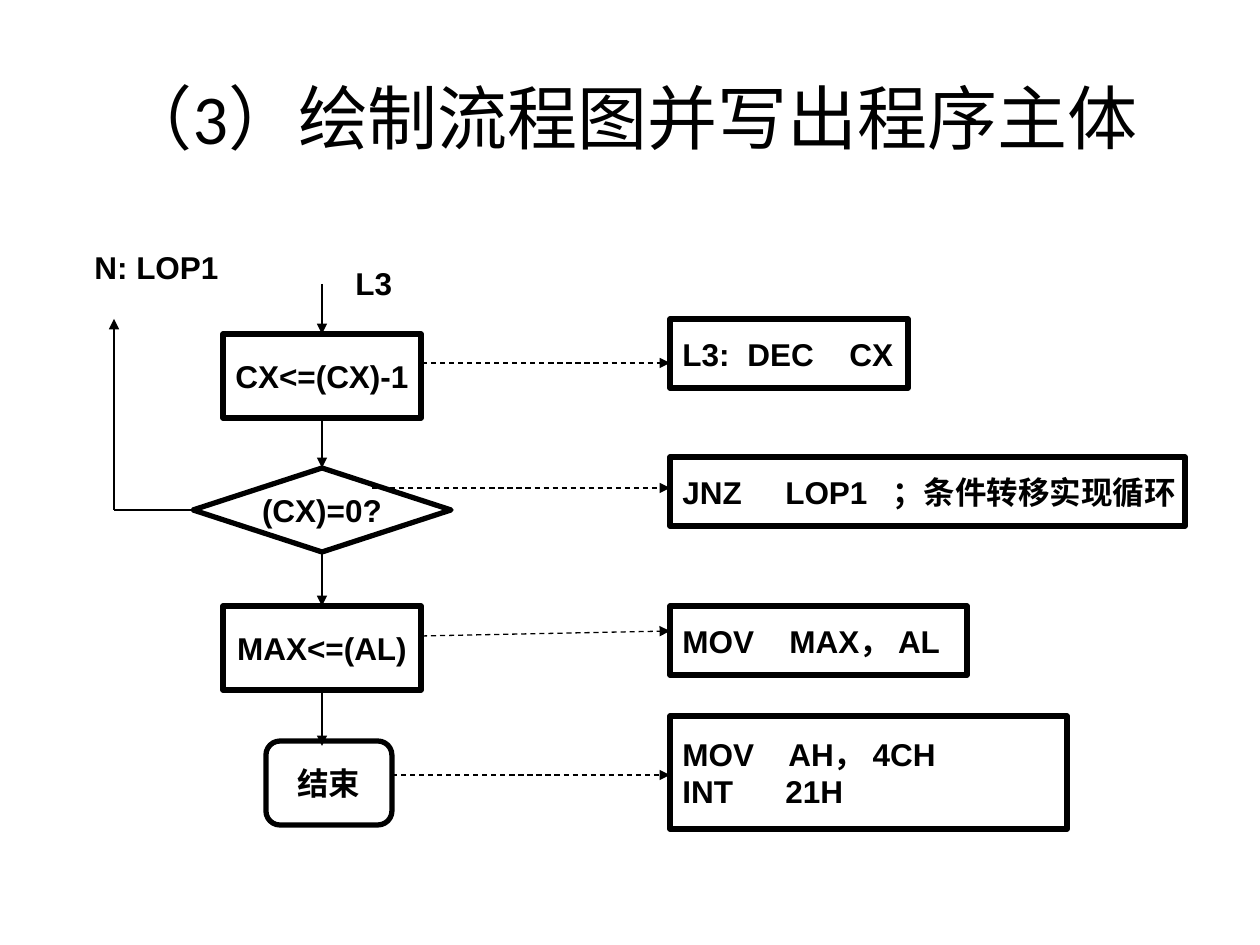
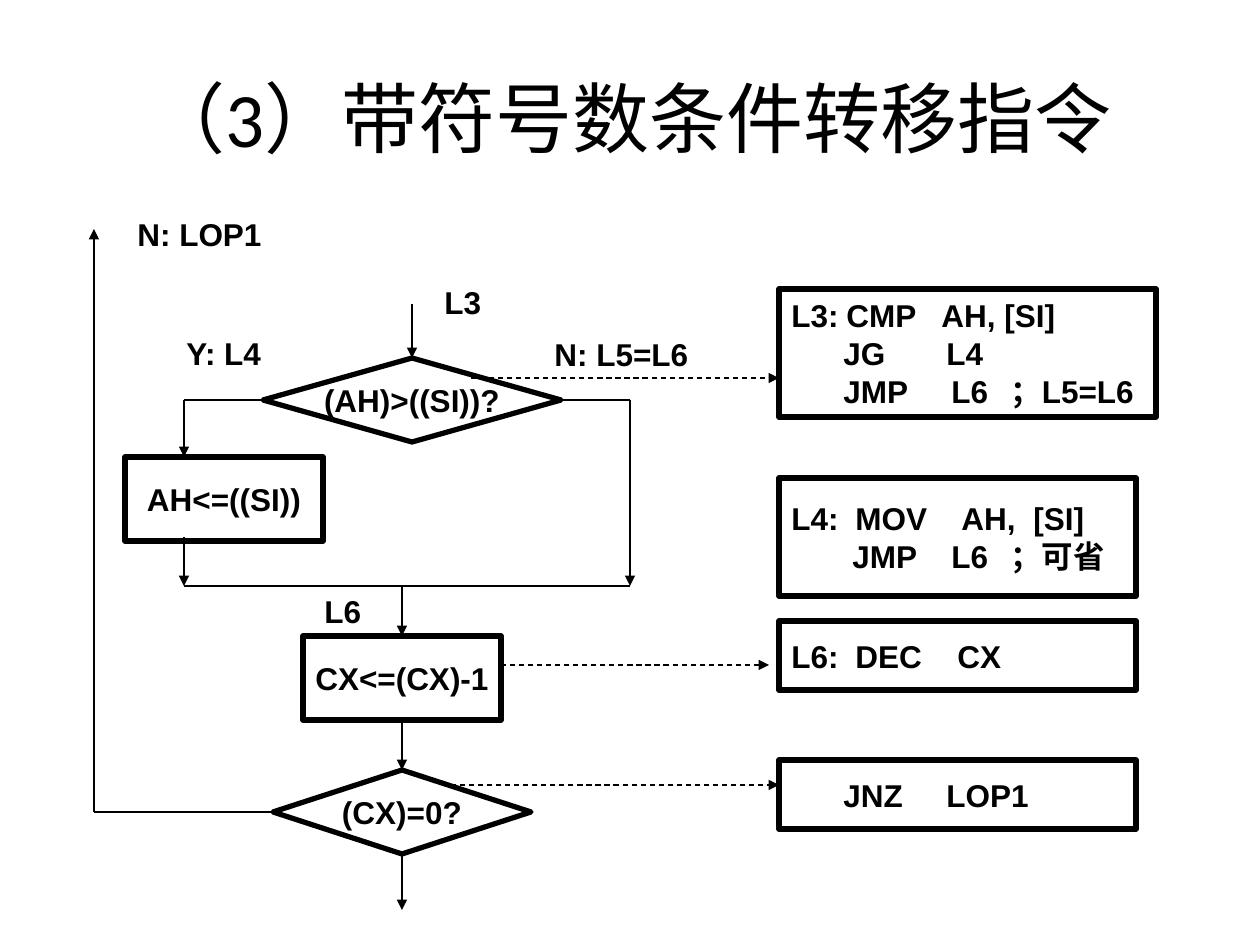
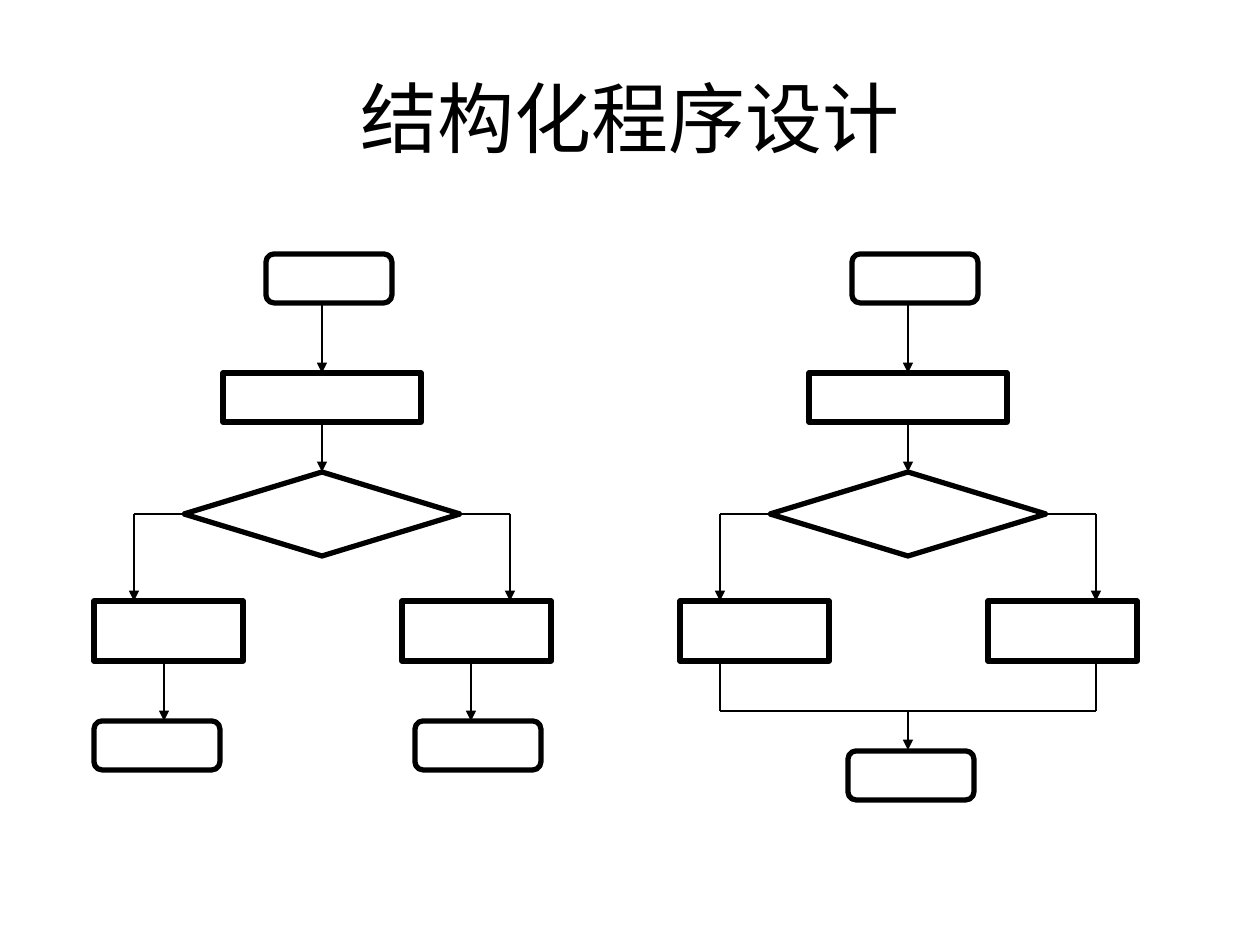
from dataclasses import dataclass

from pptx import Presentation
from pptx.dml.color import RGBColor
from pptx.enum.dml import MSO_LINE
from pptx.enum.shapes import MSO_CONNECTOR, MSO_SHAPE
from pptx.enum.text import MSO_ANCHOR, MSO_AUTO_SIZE, PP_ALIGN
from pptx.oxml.ns import qn
from pptx.util import Pt
from lxml.etree import SubElement

PX = 914400 / 126
STEP = MSO_SHAPE.FLOWCHART_PROCESS
DECISION = MSO_SHAPE.FLOWCHART_DECISION
TERMINAL = MSO_SHAPE.FLOWCHART_ALTERNATE_PROCESS
TOP, LEFT, BOTTOM, RIGHT = range(4)
# Share of a shape's width and height at which each side's middle lies
SIDE_MIDDLES = {TOP: (0.5, 0), LEFT: (0, 0.5), BOTTOM: (0.5, 1), RIGHT: (1, 0.5)}


@dataclass(frozen=True)
class Theme:
    ink: RGBColor = RGBColor(0, 0, 0)
    paper: RGBColor = RGBColor(255, 255, 255)
    title_font: str = "Calibri"
    body_font: str = "Arial"
    title_size: int = 44
    long_title_size: int = 40
    body_size: int = 18
    outline: float = 3
    thin: float = 0.75


def emu(px):
    return round(px * PX)


class FlowDeck:
    """Holds the theme and the slide or group being drawn on."""

    def __init__(self, theme):
        self.theme = theme
        self.prs = Presentation()
        self.prs.slide_width, self.prs.slide_height = emu(1260), emu(945)
        self.slide = self.shapes = None

    def new_slide(self, heading, size):
        self.slide = self.prs.slides.add_slide(self.prs.slide_layouts[5])
        self.shapes = self.slide.shapes
        background = self.slide.background.fill
        background.solid()
        background.fore_color.rgb = self.theme.paper
        title = self.shapes.title
        title.left, title.top, title.width, title.height = map(emu, (63, 38, 1134, 157))
        frame = title.text_frame
        frame.text = heading
        frame.auto_size = MSO_AUTO_SIZE.NONE
        frame.vertical_anchor = MSO_ANCHOR.MIDDLE
        self.style(frame, PP_ALIGN.CENTER, self.theme.title_font, size, False)

    def new_group(self):
        self.shapes = self.slide.shapes.add_group_shape().shapes

    def style(self, frame, align, font=None, size=None, bold=True):
        for paragraph in frame.paragraphs:
            paragraph.alignment = align
            for run in paragraph.runs:
                run.font.name = font or self.theme.body_font
                run.font.size = Pt(size or self.theme.body_size)
                run.font.bold = bold
                run.font.color.rgb = self.theme.ink

    def node(self, kind, left, top, width, height, text=""):
        node = self.shapes.add_shape(kind, *map(emu, (left, top, width, height)))
        node.shadow.inherit = False
        node.fill.background()
        node.line.color.rgb = self.theme.ink
        node.line.width = Pt(self.theme.outline)
        if text:
            frame = node.text_frame
            frame.text = text
            frame.word_wrap = False
            frame.vertical_anchor = MSO_ANCHOR.MIDDLE
            self.style(frame, PP_ALIGN.CENTER)
        return node

    def code(self, left, top, width, height, *rows):
        """Each row is its tabbed text followed by its tab stops in px."""
        listing = self.node(STEP, left, top, width, height, "\n".join(row[0] for row in rows))
        frame = listing.text_frame
        frame.word_wrap = True
        frame.margin_right = 0
        self.style(frame, PP_ALIGN.LEFT)
        for paragraph, (_, *stops) in zip(frame.paragraphs, rows):
            tabs = SubElement(paragraph._p.get_or_add_pPr(), qn("a:tabLst"))
            for stop in stops:
                SubElement(tabs, qn("a:tab"), pos=str(emu(stop)), algn="l")

    def label(self, left, top, width, text):
        frame = self.shapes.add_textbox(*map(emu, (left, top, width, 50))).text_frame
        frame.text = text
        frame.word_wrap = False
        self.style(frame, PP_ALIGN.LEFT)

    @staticmethod
    def locate(end):
        """An end is (x, y) in px, or (node, side)."""
        if isinstance(end[0], int):
            return emu(end[0]), emu(end[1])
        node, side = end
        across, down = SIDE_MIDDLES[side]
        return round(node.left + node.width * across), round(node.top + node.height * down)

    def line(self, start, end, arrow=False, dashed=False):
        link = self.shapes.add_connector(
            MSO_CONNECTOR.STRAIGHT, *self.locate(start), *self.locate(end))
        for point, connect in ((start, link.begin_connect), (end, link.end_connect)):
            if not isinstance(point[0], int):
                connect(*point)
        link.line.color.rgb = self.theme.ink
        link.line.width = Pt(self.theme.thin)
        if dashed:
            link.line.dash_style = MSO_LINE.DASH
        properties = link._element.spPr
        if arrow:
            SubElement(properties.find(qn("a:ln")), qn("a:tailEnd"), type="triangle")
        SubElement(properties, qn("a:effectLst"))

    def arrow(self, start, end):
        self.line(start, end, arrow=True)

    def pointer(self, start, end):
        self.line(start, end, arrow=True, dashed=True)


def draw_main_body(deck):
    deck.new_slide("（3）绘制流程图并写出程序主体", deck.theme.long_title_size)

    # Flow
    decrement = deck.node(STEP, 223, 334, 198, 84, "CX<=(CX)-1")
    is_zero = deck.node(DECISION, 193, 468, 258, 84, "(CX)=0?")
    store_max = deck.node(STEP, 223, 606, 198, 84, "MAX<=(AL)")
    deck.node(TERMINAL, 266, 741, 126, 84, "结束")
    deck.arrow((322, 284), (decrement, TOP))
    deck.arrow((decrement, BOTTOM), (is_zero, TOP))
    deck.arrow((is_zero, BOTTOM), (store_max, TOP))
    deck.arrow((store_max, BOTTOM), (322, 746))
    deck.line((is_zero, LEFT), (114, 510))
    deck.arrow((114, 510), (114, 319))
    deck.label(82, 242, 149, "N: LOP1")
    deck.label(343, 258, 62, "L3")

    # Instructions
    deck.code(670, 319, 238, 69, ("L3:\tDEC\tCX", 65, 167))
    deck.code(670, 457, 515, 69, ("JNZ\tLOP1\t；条件转移实现循环", 103, 210))
    deck.code(670, 606, 297, 69, ("MOV\tMAX， AL", 107))
    deck.code(670, 716, 397, 113, ("MOV\tAH， 4CH", 106), ("INT\t21H", 103))
    for start, end in (((422, 363), (670, 363)), ((372, 488), (670, 488)),
                       ((422, 636), (670, 631)), ((392, 775), (670, 775))):
        deck.pointer(start, end)


def draw_signed_jump(deck):
    deck.new_slide("（3）带符号数条件转移指令", deck.theme.title_size)

    # Comparison and its two branches
    is_greater = deck.node(DECISION, 263, 358, 298, 84, "(AH)>((SI))?")
    deck.node(STEP, 125, 457, 198, 84, "AH<=((SI))")
    deck.arrow((412, 304), (is_greater, TOP))
    deck.line((is_greater, LEFT), (184, 400))
    deck.arrow((184, 400), (184, 457))
    deck.arrow((184, 537), (184, 586))
    deck.line((is_greater, RIGHT), (630, 400))
    deck.arrow((630, 400), (630, 586))
    deck.line((184, 586), (630, 586))

    # Counter and loop
    decrement = deck.node(STEP, 303, 636, 198, 84, "CX<=(CX)-1")
    is_zero = deck.node(DECISION, 273, 770, 258, 84, "(CX)=0?")
    deck.arrow((402, 586), (decrement, TOP))
    deck.arrow((decrement, BOTTOM), (is_zero, TOP))
    deck.arrow((is_zero, BOTTOM), (402, 910))
    deck.line((is_zero, LEFT), (94, 812))
    deck.arrow((94, 812), (94, 229))

    # Labels
    for left, top, width, text in ((125, 209, 149, "N: LOP1"), (432, 277, 62, "L3"),
                                   (174, 328, 102, "Y: L4"), (542, 329, 159, "N: L5=L6"),
                                   (312, 586, 62, "L6")):
        deck.label(left, top, width, text)

    # Instructions
    deck.code(779, 289, 377, 128, ("L3:\tCMP\tAH, [SI]", 55, 150),
              ("\tJG\tL4", 52, 155), ("\tJMP\tL6\t；L5=L6", 52, 160, 219))
    deck.code(779, 478, 357, 118, ("L4:\tMOV\tAH,\t[SI]", 64, 170, 242),
              ("\tJMP\tL6\t；可省", 61, 160, 219))
    deck.code(779, 621, 357, 69, ("L6:\tDEC\tCX", 64, 166))
    deck.code(779, 760, 357, 69, ("\tJNZ\tLOP1", 52, 155))
    for left, right, y in ((471, 779, 378), (501, 769, 665), (451, 779, 785)):
        deck.pointer((left, y), (right, y))


def draw_branching(deck, x):
    """Start, step, decision and two branch steps, shifted right by x."""
    deck.new_group()
    deck.node(TERMINAL, x + 266, 254, 126, 49)
    step = deck.node(STEP, x + 223, 373, 198, 49)
    choice = deck.node(DECISION, x + 184, 472, 276, 84)
    deck.arrow((x + 322, 304), (step, TOP))
    deck.arrow((step, BOTTOM), (choice, TOP))
    for side, turn, left in ((LEFT, x + 134, x + 94), (RIGHT, x + 510, x + 402)):
        deck.node(STEP, left, 601, 149, 60)
        deck.line((choice, side), (turn, 514))
        deck.arrow((turn, 514), (turn, 601))


def draw_structured_design(deck):
    deck.new_slide("结构化程序设计", deck.theme.title_size)

    # Two separate ends
    draw_branching(deck, 0)
    for exit_x, end_left in ((164, 94), (471, 415)):
        deck.arrow((exit_x, 661), (exit_x, 721))
        deck.node(TERMINAL, end_left, 721, 126, 49)

    # One shared end
    draw_branching(deck, 586)
    for exit_x in (720, 1096):
        deck.line((exit_x, 661), (exit_x, 711))
    deck.line((720, 711), (1096, 711))
    deck.arrow((908, 711), (908, 750))
    deck.node(TERMINAL, 848, 751, 126, 49)


def main():
    deck = FlowDeck(Theme())
    draw_main_body(deck)
    draw_signed_jump(deck)
    draw_structured_design(deck)
    deck.prs.save("out.pptx")


if __name__ == "__main__":
    main()
